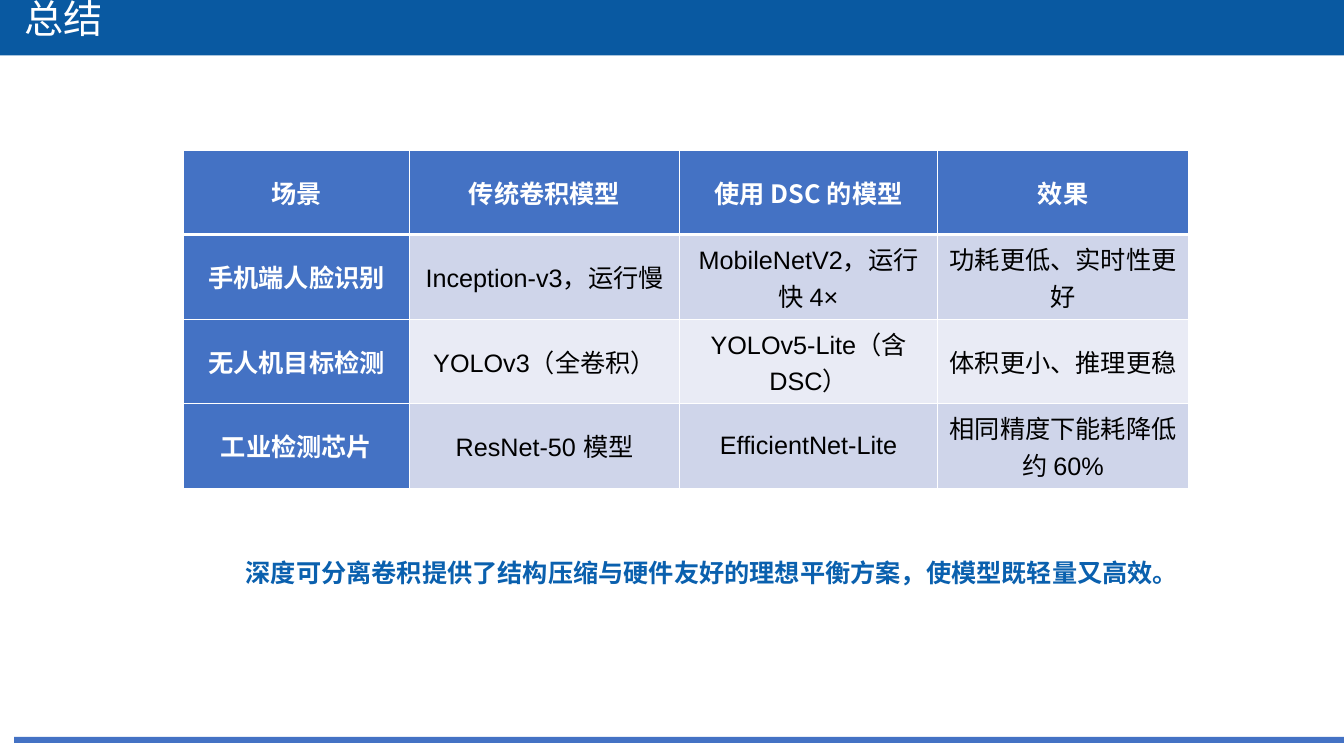
from dataclasses import dataclass
from lxml.etree import SubElement
from pptx import Presentation
from pptx.dml.color import RGBColor
from pptx.enum.shapes import MSO_SHAPE
from pptx.enum.text import MSO_ANCHOR, MSO_AUTO_SIZE, PP_ALIGN
from pptx.oxml.ns import qn
from pptx.util import Pt


@dataclass(frozen=True)
class Theme:
    band: str = "0959A1"
    accent: str = "4472C4"
    summary: str = "0A60AE"
    white: str = "FFFFFF"
    black: str = "000000"
    stripes: tuple = ("E9EBF5", "CFD5EA")
    heading_font: str = "Noto Sans CJK SC"
    body_font: str = "Arial"
    title_size: int = 28
    text_size: int = 18


theme = Theme()


def write_text(text_frame, text, size, color, bold=False, font_name=theme.heading_font):
    text_frame.text = text
    run = text_frame.paragraphs[0].runs[0]
    run.font.size = Pt(size)
    run.font.bold = bold
    run.font.name = font_name
    run.font.color.rgb = RGBColor.from_string(color)
    SubElement(run.font._element, qn("a:ea"), typeface=theme.heading_font)


def add_border(cell, side, width):
    line = SubElement(cell._tc.get_or_add_tcPr(), qn(f"a:ln{side}"), w=str(Pt(width)))
    fill = SubElement(line, qn("a:solidFill"))
    SubElement(fill, qn("a:srgbClr"), val=theme.white)


presentation = Presentation()
presentation.slide_width = Pt(960)
presentation.slide_height = Pt(540)
slide = presentation.slides.add_slide(presentation.slide_layouts[5])

bars = []
for left, top, height, color in [
    (0, -13.7, 53.3, theme.band),
    (10.1, 526.3, 4.3, theme.accent),
]:
    bar = slide.shapes.add_shape(MSO_SHAPE.RECTANGLE, Pt(left), Pt(top), Pt(960), Pt(height))
    bar.shadow.inherit = False
    bar.fill.solid()
    bar.fill.fore_color.rgb = RGBColor.from_string(color)
    bar.line.fill.background()
    bars.append(bar)

title = slide.shapes.title
title.left, title.top, title.width, title.height = Pt(10.1), Pt(-7.9), Pt(960), Pt(41)
bars[0]._element.getparent().remove(bars[0]._element)
title._element.addprevious(bars[0]._element)
write_text(title.text_frame, "总结", theme.title_size, theme.white)
title.text_frame.auto_size = MSO_AUTO_SIZE.NONE
title.text_frame.vertical_anchor = MSO_ANCHOR.MIDDLE
title.text_frame.paragraphs[0].alignment = PP_ALIGN.LEFT

comparison = [
    ("场景", "传统卷积模型", "使用 DSC 的模型", "效果"),
    ("手机端人脸识别", "Inception-v3，运行慢", "MobileNetV2，运行快 4×", "功耗更低、实时性更好"),
    ("无人机目标检测", "YOLOv3（全卷积）", "YOLOv5-Lite（含DSC）", "体积更小、推理更稳"),
    ("工业检测芯片", "ResNet-50 模型", "EfficientNet-Lite", "相同精度下能耗降低约 60%"),
]
column_widths = (161.3, 193, 184.3, 179.3)
row_height = 60.4

table = slide.shapes.add_table(
    len(comparison), len(column_widths), Pt(131.2), Pt(107.2),
    Pt(sum(column_widths)), Pt(row_height * len(comparison)),
).table
for column, width in zip(table.columns, column_widths):
    column.width = Pt(width)

for row_index, texts in enumerate(comparison):
    table.rows[row_index].height = Pt(row_height)
    for column_index, text in enumerate(texts):
        cell = table.cell(row_index, column_index)
        is_heading = row_index == 0 or column_index == 0
        for side in "LRTB":
            heading_edge = (row_index, side) in [(0, "B"), (1, "T")]
            add_border(cell, side, 3 if heading_edge else 1)
        cell.fill.solid()
        cell.fill.fore_color.rgb = RGBColor.from_string(
            theme.accent if is_heading else theme.stripes[row_index % 2])
        cell.margin_left = cell.margin_right = Pt(5)
        cell.margin_top = cell.margin_bottom = Pt(0)
        cell.vertical_anchor = MSO_ANCHOR.MIDDLE
        write_text(
            cell.text_frame, text, theme.text_size,
            theme.white if is_heading else theme.black, is_heading,
            theme.heading_font if is_heading else theme.body_font)
        cell.text_frame.paragraphs[0].alignment = PP_ALIGN.CENTER

summary = slide.shapes.add_textbox(Pt(168.5), Pt(394.6), Pt(681), Pt(28.8))
summary.text_frame.word_wrap = True
summary.text_frame.vertical_anchor = MSO_ANCHOR.MIDDLE
write_text(
    summary.text_frame,
    "深度可分离卷积提供了结构压缩与硬件友好的理想平衡方案，使模型既轻量又高效。",
    theme.text_size, theme.summary, True)

presentation.save("out.pptx")
